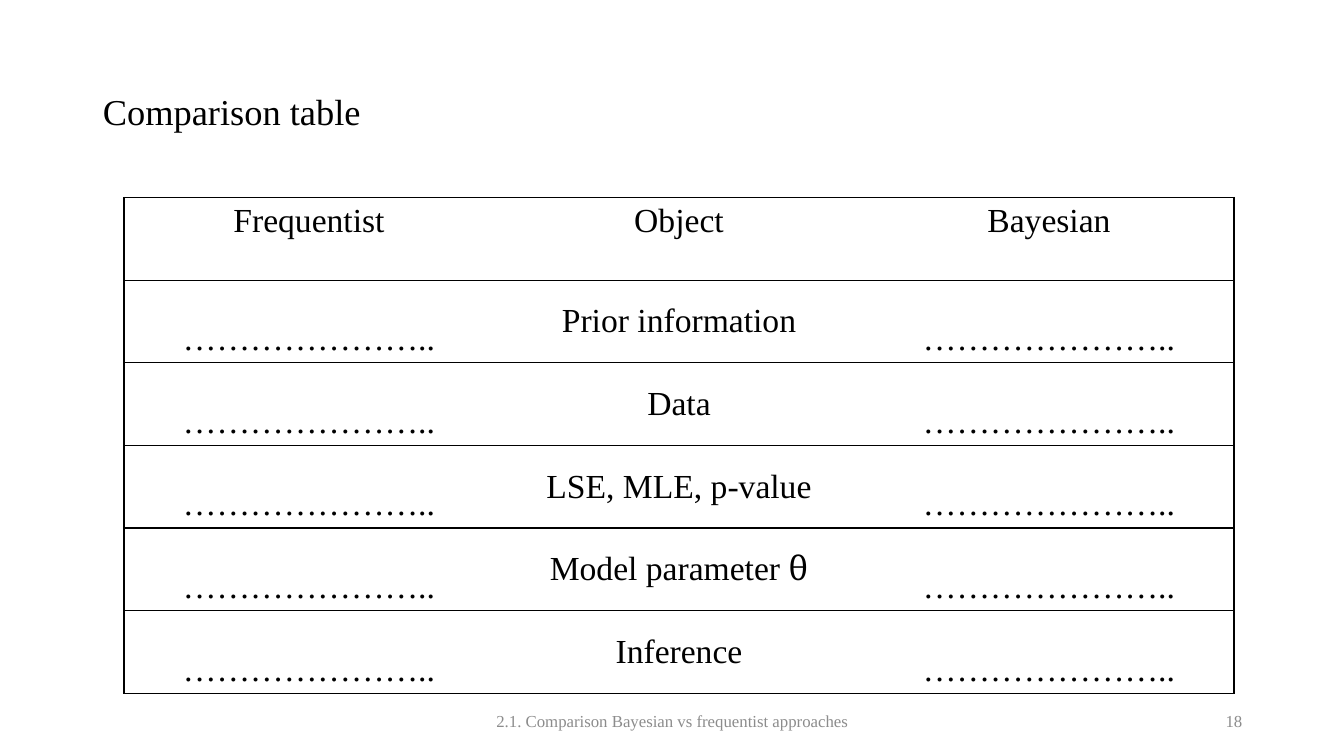
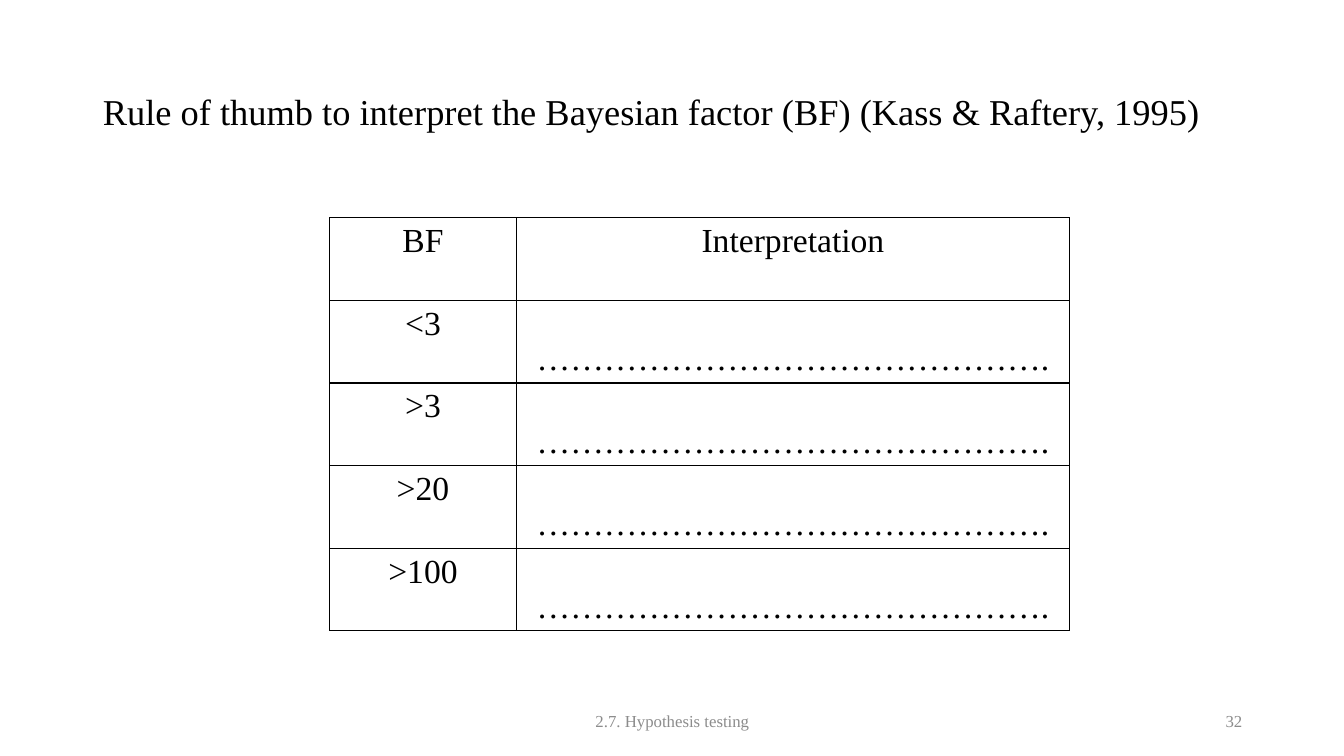
from lxml import etree
from pptx import Presentation
from pptx.dml.color import RGBColor
from pptx.enum import text
from pptx.oxml import ns
from pptx.util import Inches, Pt

BLACK = RGBColor(0, 0, 0)
GRAY = RGBColor(0x8C, 0x8C, 0x8C)
FONT = "Times New Roman"
MATH_FONT = "Cambria"
TITLE = {"name": FONT, "size": Pt(26), "bold": False}
BODY = {"name": FONT, "size": Pt(24), "bold": False}
FOOTER = {"name": FONT, "size": Pt(12)}
LEFT, CENTER, RIGHT = text.PP_ALIGN.LEFT, text.PP_ALIGN.CENTER, text.PP_ALIGN.RIGHT
TOP, MIDDLE, BOTTOM = (text.MSO_ANCHOR.TOP, text.MSO_ANCHOR.MIDDLE,
                       text.MSO_ANCHOR.BOTTOM)
ROW_HEIGHT = 0.82
SHORT_DOTS = "………………….."
LONG_DOTS = "………………………………………."


def add_run(p, content, style, color=BLACK):
    r = p.add_run()
    r.text = content
    for key, value in style.items():
        setattr(r.font, key, value)
    r.font.color.rgb = color


def add_footer(s, content, left, width, align):
    sp = s.shapes.add_textbox(Inches(left), Inches(6.95), Inches(width), Inches(0.4))
    tf = sp.text_frame
    tf.word_wrap = True
    tf.vertical_anchor = MIDDLE
    p = tf.paragraphs[0]
    p.alignment = align
    add_run(p, content, FOOTER, GRAY)


def add_slide(prs, title, section, number):
    s = prs.slides.add_slide(prs.slide_layouts[5])
    sp = s.shapes.title
    sp.left, sp.top, sp.width, sp.height = map(Inches, (0.92, 0.4, 11.5, 1.45))
    tf = sp.text_frame
    tf.vertical_anchor = MIDDLE
    p = tf.paragraphs[0]
    p.alignment = LEFT
    p.line_spacing = 0.9
    add_run(p, title, TITLE)
    add_footer(s, section, 4.42, 4.5, CENTER)
    add_footer(s, str(number), 9.42, 3, RIGHT)
    return s


def set_borders(cell, sides):
    tcPr = cell._tc.get_or_add_tcPr()
    for i, side in enumerate("LRTB"):
        ln = etree.Element(ns.qn(f"a:ln{side}"), w=str(Pt(1)))
        if side in sides:
            fill = etree.SubElement(ln, ns.qn("a:solidFill"))
            etree.SubElement(fill, ns.qn("a:srgbClr"), val=str(BLACK))
        else:
            etree.SubElement(ln, ns.qn("a:noFill"))
        tcPr.insert(i, ln)


def fill_cell(cell, content, anchor, sides):
    cell.fill.background()
    cell.vertical_anchor = anchor
    p = cell.text_frame.paragraphs[0]
    p.alignment = CENTER
    label, theta, _ = content.partition("θ")
    add_run(p, label, BODY)
    if theta:
        add_run(p, theta, {**BODY, "name": MATH_FONT})
    set_borders(cell, sides)


def add_grid(s, left, top, widths, rows, anchors, column_lines):
    frame = s.shapes.add_table(len(rows), len(widths), Inches(left), Inches(top),
                               Inches(sum(widths)), Inches(ROW_HEIGHT * len(rows)))
    table = frame.table
    table.first_row = table.horz_banding = False
    for column, width in zip(table.columns, widths):
        column.width = Inches(width)
    for i, row in enumerate(rows):
        table.rows[i].height = Inches(ROW_HEIGHT)
        for j, content in enumerate(row):
            sides = "TB"
            if column_lines or j == 0:
                sides += "L"
            if column_lines or j == len(widths) - 1:
                sides += "R"
            fill_cell(table.cell(i, j), content, anchors[j] if i else TOP, sides)


def main():
    prs = Presentation()
    prs.slide_width, prs.slide_height = Inches(13.33), Inches(7.5)

    s = add_slide(prs, "Comparison table",
                  "2.1. Comparison Bayesian vs frequentist approaches", 18)
    objects = ["Prior information", "Data", "LSE, MLE, p-value",
               "Model parameter θ", "Inference"]
    rows = [("Frequentist", "Object", "Bayesian")]
    rows += [(SHORT_DOTS, name, SHORT_DOTS) for name in objects]
    add_grid(s, 1.23, 1.96, [3.67] * 3, rows, (BOTTOM, MIDDLE, BOTTOM), False)

    s = add_slide(prs, "Rule of thumb to interpret the Bayesian factor (BF) "
                  "(Kass & Raftery, 1995)", "2.7. Hypothesis testing", 32)
    rows = [("BF", "Interpretation")]
    rows += [(bound, LONG_DOTS) for bound in ("<3", ">3", ">20", ">100")]
    add_grid(s, 3.27, 2.16, [1.85, 5.49], rows, (TOP, BOTTOM), True)

    prs.save("out.pptx")


if __name__ == "__main__":
    main()
